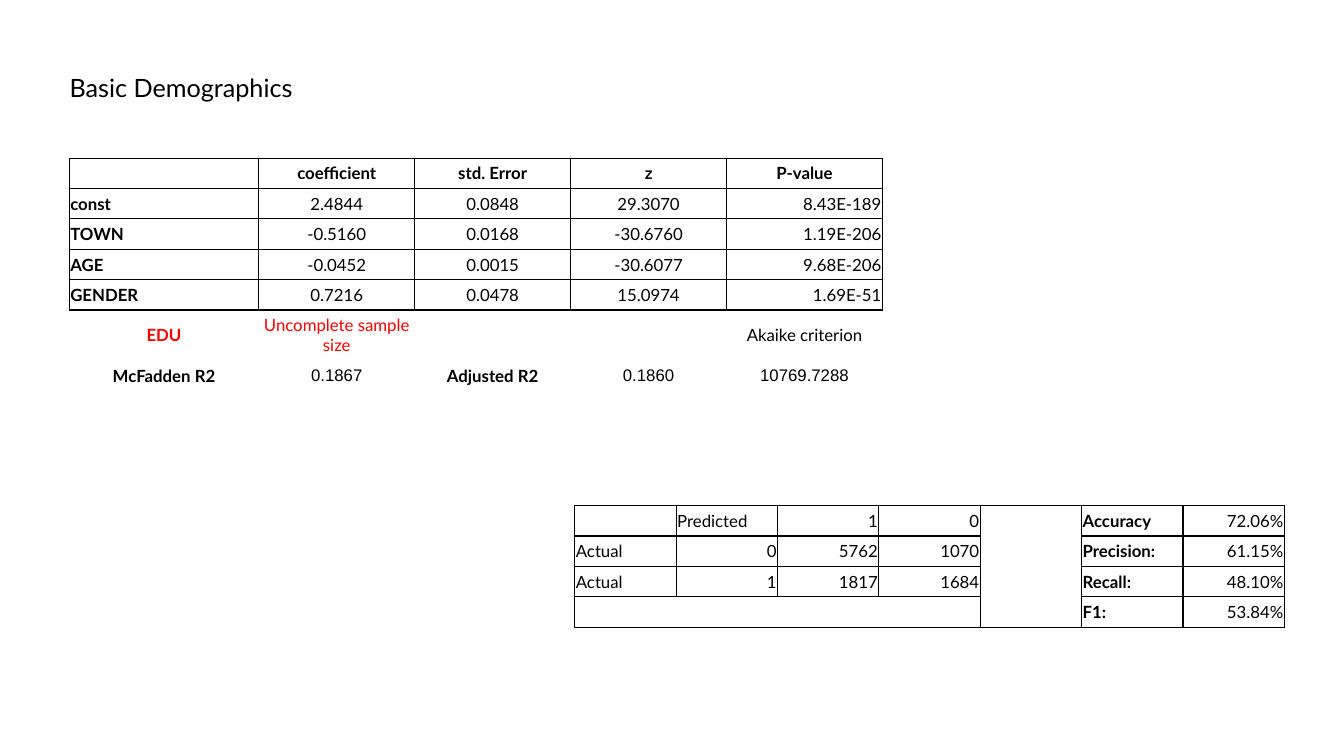
import pptx
import pptx.dml.color
import pptx.enum.text
import pptx.oxml
import pptx.oxml.ns
import pptx.util
from pptx.util import Pt

BLACK = pptx.dml.color.RGBColor(0, 0, 0)
RED = pptx.dml.color.RGBColor(255, 0, 0)
LEFT, CENTER, RIGHT = (pptx.enum.text.PP_ALIGN.LEFT,
                       pptx.enum.text.PP_ALIGN.CENTER,
                       pptx.enum.text.PP_ALIGN.RIGHT)
MIDDLE = pptx.enum.text.MSO_ANCHOR.MIDDLE
BOTTOM = pptx.enum.text.MSO_ANCHOR.BOTTOM
ROW_HEIGHT = 21.7

REGRESSION = [
    ["", "coefficient", "std. Error", "z", "P-value"],
    ["const", "2.4844", "0.0848", "29.3070", "8.43E-189"],
    ["TOWN", "-0.5160", "0.0168", "-30.6760", "1.19E-206"],
    ["AGE", "-0.0452", "0.0015", "-30.6077", "9.68E-206"],
    ["GENDER", "0.7216", "0.0478", "15.0974", "1.69E-51"],
    ["EDU", "Uncomplete sample size", "", "", "Akaike criterion"],
    ["McFadden R2", "0.1867", "Adjusted R2", "0.1860", "10769.7288"],
]
CONFUSION = [
    ["", "Predicted", "1", "0", "", "Accuracy", "72.06%"],
    ["Actual", "0", "5762", "1070", "", "Precision:", "61.15%"],
    ["Actual", "1", "1817", "1684", "", "Recall:", "48.10%"],
    ["", "", "", "", "", "F1:", "53.84%"],
]


def format_para(para, size, align, bold=False, color=BLACK, font="Lato"):
    para.alignment = align
    para.font.name = font
    para.font.size = Pt(size)
    para.font.bold = bold
    para.font.color.rgb = color


def set_borders(cell, sides):
    """Draw the given sides (of "LRTB") in black and hide the others."""
    properties = cell._tc.get_or_add_tcPr()
    namespace = pptx.oxml.ns.nsdecls("a")
    for index, side in enumerate("LRTB"):
        paint = (f'<a:solidFill><a:srgbClr val="{BLACK}"/></a:solidFill>'
                 if side in sides else "<a:noFill/>")
        line = pptx.oxml.parse_xml(
            f'<a:ln{side} {namespace} w="{int(Pt(0.96))}">{paint}</a:ln{side}>')
        properties.insert(index, line)


def add_title(page, text):
    title = page.shapes.title
    title.left, title.top, title.width, title.height = (
        Pt(42.5), Pt(48.2), Pt(742.3), Pt(29.1))
    title.text_frame.text = text
    title.text_frame.vertical_anchor = MIDDLE
    format_para(title.text_frame.paragraphs[0], 18, LEFT)


def add_grid(page, left, top, widths, heights, rows, style):
    """Add a table; style(row, column, text) gives format, anchor, sides."""
    table = page.shapes.add_table(
        len(rows), len(widths), Pt(left), Pt(top),
        Pt(sum(widths)), Pt(sum(heights))).table
    table.first_row = table.horz_banding = False
    for column, width in zip(table.columns, widths):
        column.width = Pt(width)
    for row, height in zip(table.rows, heights):
        row.height = Pt(height)
    for r, texts in enumerate(rows):
        for c, text in enumerate(texts):
            cell = table.cell(r, c)
            look, anchor, sides = style(r, c, text)
            cell.text = text
            cell.vertical_anchor = anchor
            cell.margin_left = cell.margin_right = Pt(0.75)
            cell.margin_top = cell.margin_bottom = Pt(3.6)
            cell.fill.background()
            set_borders(cell, sides)
            format_para(cell.text_frame.paragraphs[0], 12, **look)
    return table


def regression_style(r, c, text):
    # Coefficients are boxed; the summary rows below them are open
    if r < 5:
        align = CENTER if r == 0 or 0 < c < 4 else RIGHT if c else LEFT
        return {"align": align, "bold": r == 0 or c == 0}, BOTTOM, "LRTB"
    look = {"align": CENTER, "bold": c == 0 or text == "Adjusted R2"}
    if r == 5:
        look["color"] = RED if c < 2 else BLACK
        return look, MIDDLE, "T"
    look["font"] = "Lato" if look["bold"] else "Arial"
    return look, MIDDLE, ""


def confusion_style(r, c, text):
    # The gap column has no inner horizontal lines
    sides = "LRTB"
    if c == 4:
        sides = "LR" + {0: "T", 3: "B"}.get(r, "")
    align = RIGHT if text[:1].isdigit() else LEFT
    return {"align": align, "bold": c == 5}, BOTTOM, sides


def main():
    deck = pptx.Presentation()
    deck.slide_width, deck.slide_height = Pt(960), Pt(540)
    page = deck.slides.add_slide(deck.slide_layouts[5])
    add_title(page, "Basic Demographics")

    # Regression coefficients
    add_grid(page, 49.5, 113, [135.4] + [111.4] * 4,
             [ROW_HEIGHT] * 5 + [36, ROW_HEIGHT], REGRESSION, regression_style)

    # Confusion matrix and scores
    matrix = add_grid(page, 410.6, 361.2, [72.4] * 7,
                      [ROW_HEIGHT] * 4, CONFUSION, confusion_style)
    matrix.cell(3, 0).merge(matrix.cell(3, 3))

    deck.save("out.pptx")


if __name__ == "__main__":
    main()
